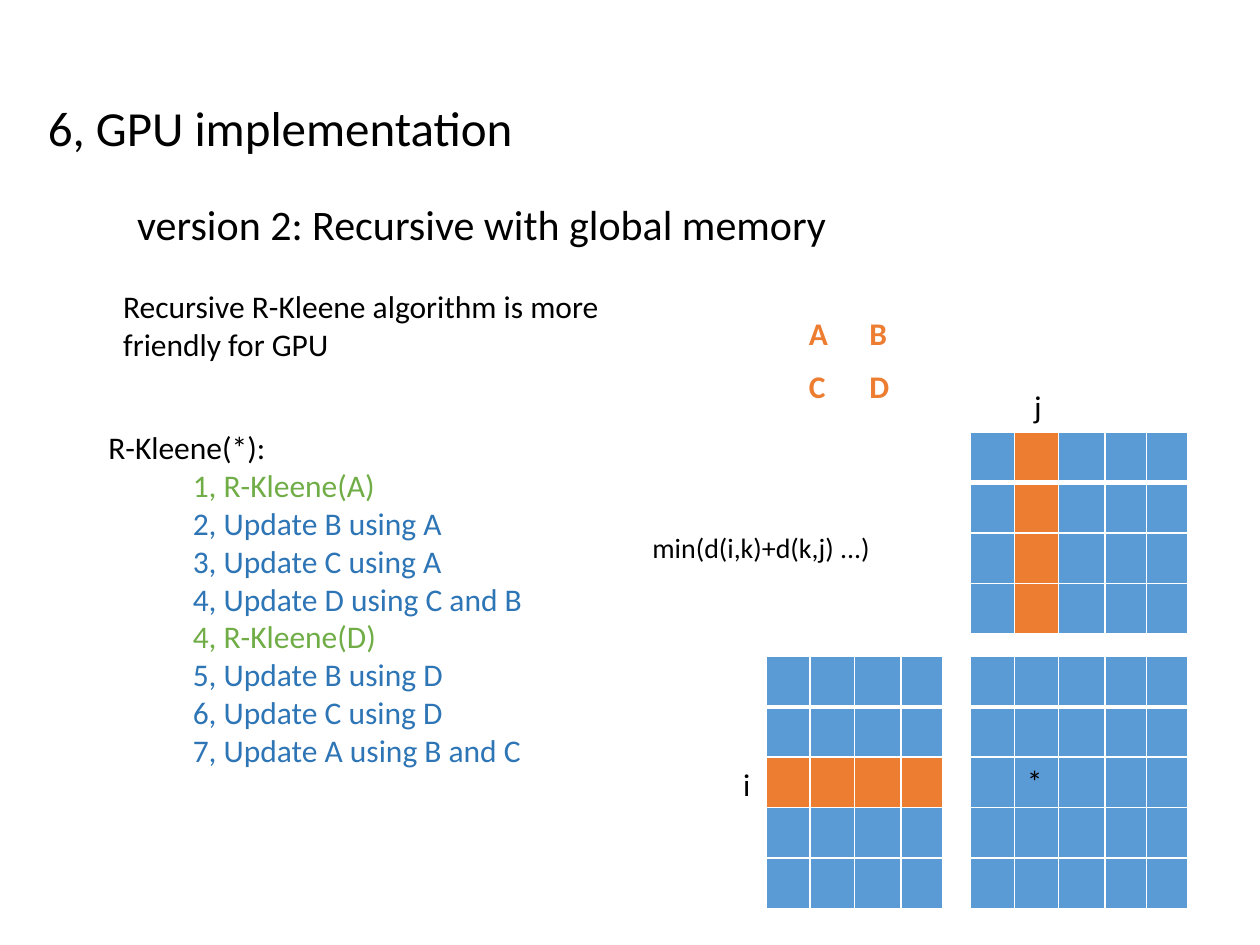
from lxml import etree
from pptx import Presentation
from pptx.dml.color import RGBColor
from pptx.enum import text
from pptx.oxml import ns
from pptx.util import Inches, Pt

BLACK, WHITE = "000000", "FFFFFF"
BLUE, ORANGE = "5B9BD5", "ED7D31"
GREEN, DARK_BLUE = "70AD47", "2E75B6"

# Content
TITLE = "6, GPU implementation"
PROCEDURE = [
    ("R-Kleene(*):", BLACK),
    ("1, R-Kleene(A)", GREEN),
    ("2, Update B using A", DARK_BLUE),
    ("3, Update C using A", DARK_BLUE),
    ("4, Update D using C and B", DARK_BLUE),
    ("4, R-Kleene(D)", GREEN),
    ("5, Update B using D", DARK_BLUE),
    ("6, Update C using D", DARK_BLUE),
    ("7, Update A using B and C", DARK_BLUE),
]
# text, (left, top, width, height), size, wraps
LABELS = [
    ("version 2: Recursive with global memory", (0.99, 1.53, 8.52, 0.5), 24, True),
    ("Recursive R-Kleene algorithm is more friendly for GPU",
     (0.88, 2.23, 4.06, 0.71), 18, True),
    ("j", (8.11, 3.02, 0.27, 0.4), 18, False),
    ("i", (5.8, 6.02, 0.27, 0.4), 18, False),
    ("min(d(i,k)+d(k,j) ...)", (5.08, 4.16, 2.41, 0.37), 16, False),
]
COLUMNS = [0.35, 0.35, 0.37, 0.33, 0.33]
ROW = 0.4
# left, top, column widths, row count, highlighted column, highlighted row, marks
BLOCKS = [
    (7.7, 3.43, COLUMNS, 4, 1, None, {}),
    (6.08, 5.21, COLUMNS[:4], 5, None, 2, {}),
    (7.7, 5.21, COLUMNS, 5, None, None, {(2, 1): "*"}),
]
QUADRANTS = {(0, 0): "A", (0, 1): "B", (1, 0): "C", (1, 1): "D"}


def rgb(value):
    return RGBColor.from_string(value)


def inches(values):
    return [Inches(value) for value in values]


def style(paragraph, size, color=BLACK, bold=False):
    font = paragraph.font
    font.name, font.size, font.bold = "Calibri", Pt(size), bold
    font.color.rgb = rgb(color)


def place(shape, box):
    shape.left, shape.top, shape.width, shape.height = inches(box)


def set_borders(cell, widths):
    properties = cell._tc.get_or_add_tcPr()
    for side, width in zip("LRTB", widths):
        line = etree.SubElement(properties, ns.qn("a:ln" + side), w=str(Pt(width)))
        fill = etree.SubElement(line, ns.qn("a:solidFill"))
        etree.SubElement(fill, ns.qn("a:srgbClr"), val=WHITE)


def add_matrix(left, top, widths, rows, height, marks, color, fill_at, bold=False):
    table = slide.shapes.add_table(
        rows, len(widths), *inches((left, top, sum(widths), rows * height))).table
    table.first_row = table.horz_banding = False
    for column, width in zip(table.columns, widths):
        column.width = Inches(width)
    for r, row in enumerate(table.rows):
        row.height = Inches(height)
        for c, cell in enumerate(row.cells):
            # The first row is set off by a thick line
            set_borders(cell, (1, 1, 3 if r == 1 else 1, 3 if r == 0 else 1))
            fill = fill_at(r, c)
            if fill:
                cell.fill.solid()
                cell.fill.fore_color.rgb = rgb(fill)
            else:
                cell.fill.background()
            cell.margin_top = cell.margin_bottom = 0
            cell.vertical_anchor = text.MSO_ANCHOR.MIDDLE
            cell.text = marks.get((r, c), "")
            style(cell.text_frame.paragraphs[0], 18, color, bold)


prs = Presentation()
prs.slide_width, prs.slide_height = Inches(10), Inches(7.5)
slide = prs.slides.add_slide(prs.slide_layouts[1])

# Title
title = slide.shapes.title
place(title, (0.28, 0.61, 6.13, 0.69))
title.text_frame.text = TITLE
title.text_frame.vertical_anchor = text.MSO_ANCHOR.BOTTOM
title.text_frame.auto_size = text.MSO_AUTO_SIZE.NONE
heading = title.text_frame.paragraphs[0]
heading.alignment, heading.line_spacing = text.PP_ALIGN.LEFT, 0.9
style(heading, 28)

# Procedure: a heading line and indented steps without bullets
procedure = slide.placeholders[1]
place(procedure, (0.43, 3.35, 4.5, 2.83))
frame = procedure.text_frame
frame.text = "\n".join(line for line, _ in PROCEDURE)
frame.auto_size = text.MSO_AUTO_SIZE.NONE
for number, (paragraph, (_, color)) in enumerate(zip(frame.paragraphs, PROCEDURE)):
    paragraph.space_before = Pt(0)
    style(paragraph, 18, color)
    properties = paragraph._p.get_or_add_pPr()
    properties.set("marL", str(Inches(1 if number else 0.33)))
    properties.set("indent", "0")
    properties.find(ns.qn("a:spcBef")).addnext(etree.Element(ns.qn("a:buNone")))

# Labels
for words, box, size, wraps in LABELS:
    label = slide.shapes.add_textbox(*inches(box)).text_frame
    label.word_wrap = wraps
    label.text = words
    style(label.paragraphs[0], size)
    if size == 24:
        label.vertical_anchor = text.MSO_ANCHOR.BOTTOM
        label.paragraphs[0].line_spacing = 0.9

# Quadrant names and matrix blocks
add_matrix(6.32, 2.45, [0.48, 0.48], 2, 0.42, QUADRANTS, ORANGE,
           lambda r, c: None, bold=True)
for left, top, widths, rows, hot_column, hot_row, marks in BLOCKS:
    add_matrix(left, top, widths, rows, ROW, marks, BLACK,
               lambda r, c: ORANGE if c == hot_column or r == hot_row else BLUE)

prs.save("out.pptx")
